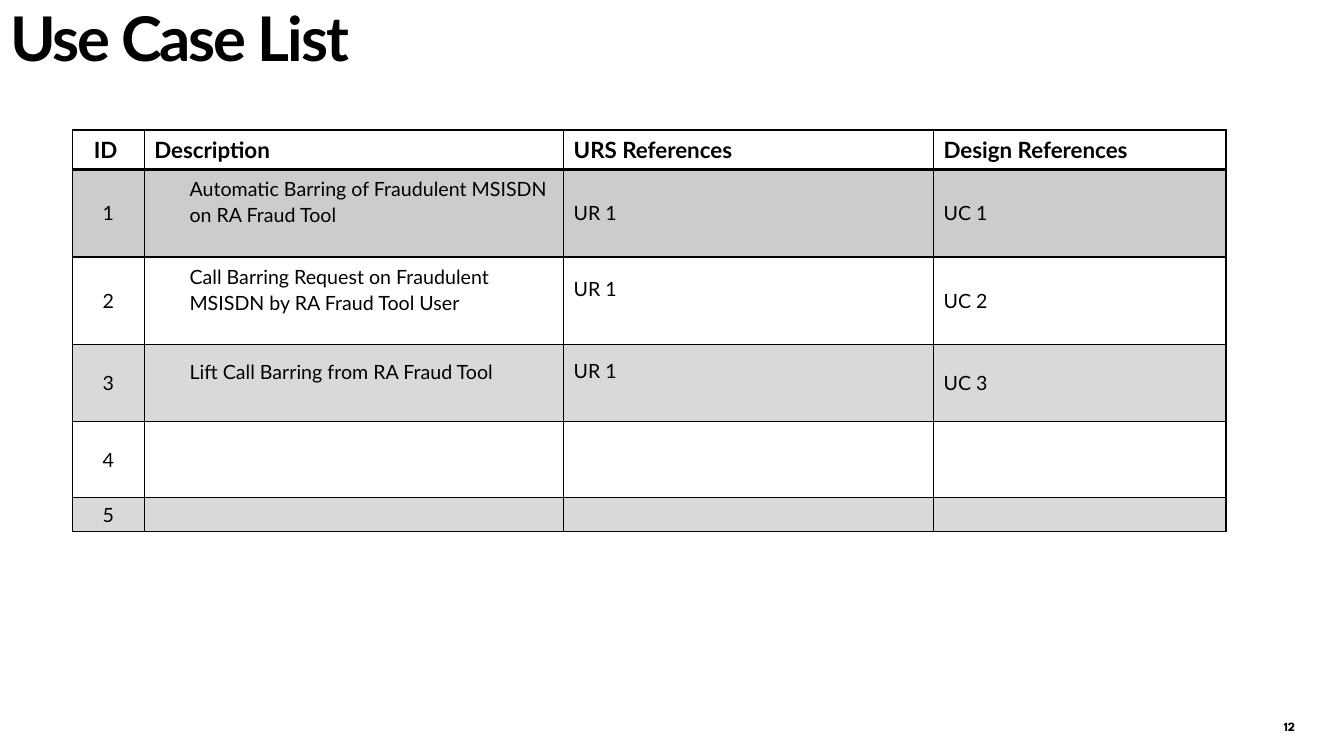
from dataclasses import dataclass

from lxml import etree
from pptx import Presentation
from pptx import util as u
from pptx.dml.color import RGBColor
from pptx.enum import shapes, text
from pptx.oxml import ns


@dataclass(frozen=True)
class Theme:
    ink: str = "000000"
    paper: str = "FFFFFF"
    band: str = "D9D9D9"
    body_font: str = "Lato"
    number_font: str = "League Spartan"
    title_size: int = 44
    header_size: int = 16
    body_size: int = 14
    number_size: int = 9


CENTER, LEFT = text.PP_ALIGN.CENTER, text.PP_ALIGN.LEFT
TOP, MIDDLE = text.MSO_ANCHOR.TOP, text.MSO_ANCHOR.MIDDLE


def write(frame, words, *, size, font, color, bold=False, align=LEFT,
          line_spacing=None, before=None, tracking=None):
    """Put one formatted paragraph into a text frame and return it."""
    paragraph = frame.paragraphs[0]
    paragraph.alignment = align
    if line_spacing:
        paragraph.line_spacing = line_spacing
    if before is not None:
        paragraph.space_before = u.Pt(before)
    if not words:
        # An empty cell still needs a type size to keep its row low
        end = etree.SubElement(paragraph._p, ns.qn("a:endParaRPr"))
        end.set("sz", str(size * 100))
        return paragraph
    run = paragraph.add_run()
    run.text = words
    run.font.name, run.font.size, run.font.bold = font, u.Pt(size), bold
    run.font.color.rgb = RGBColor.from_string(color)
    if tracking:
        run.font._element.set("spc", str(int(tracking * 100)))
    return paragraph


class SlideBuilder:
    def __init__(self, slide, theme):
        self.slide, self.theme = slide, theme

    def place(self, shape, left, top, width, height):
        shape.left, shape.top = u.Inches(left), u.Inches(top)
        shape.width, shape.height = u.Inches(width), u.Inches(height)

    def title(self, words, *box):
        heading = self.slide.shapes.title
        self.place(heading, *box)
        frame = heading.text_frame
        frame.vertical_anchor, frame.word_wrap = TOP, True
        frame.auto_size = text.MSO_AUTO_SIZE.NONE
        write(frame, words, size=self.theme.title_size, font=self.theme.body_font,
              color=self.theme.ink, bold=True, line_spacing=0.9, tracking=-1.5)

    def page_number(self, words, *box):
        badge = self.slide.shapes.add_shape(
            shapes.MSO_SHAPE.OVAL, *(u.Inches(length) for length in box))
        badge.shadow.inherit = False
        badge.fill.solid()
        badge.fill.fore_color.rgb = RGBColor.from_string(self.theme.paper)
        badge.line.fill.background()
        frame = badge.text_frame
        frame.margin_left = frame.margin_right = 0
        frame.margin_top = frame.margin_bottom = 0
        frame.vertical_anchor = MIDDLE
        write(frame, words, size=self.theme.number_size, font=self.theme.number_font,
              color=self.theme.ink, bold=True, align=CENTER)

    def border(self, cell, widths):
        properties = cell._tc.get_or_add_tcPr()
        for position, (side, width) in enumerate(zip("LRTB", widths)):
            line = etree.Element(ns.qn(f"a:ln{side}"), w=str(u.Pt(width)))
            solid = etree.SubElement(line, ns.qn("a:solidFill"))
            etree.SubElement(solid, ns.qn("a:srgbClr"), val=self.theme.ink)
            properties.insert(position, line)

    def fill(self, cell, color, opacity=None):
        if color is None:
            cell.fill.background()
            return
        cell.fill.solid()
        cell.fill.fore_color.rgb = RGBColor.from_string(color)
        if opacity:
            tint = cell._tc.tcPr.find(".//" + ns.qn("a:srgbClr"))
            etree.SubElement(tint, ns.qn("a:alpha"), val=str(opacity * 1000))

    def use_cases(self, rows, left, top, widths, heights, raised):
        """raised holds the (row, column) cells whose text sits above the middle."""
        table = self.slide.shapes.add_table(
            len(rows), len(widths), u.Inches(left), u.Inches(top),
            u.Inches(sum(widths)), u.Inches(sum(heights))).table
        table.first_row = table.horz_banding = False
        for column, width in zip(table.columns, widths):
            column.width = u.Inches(width)
        for row, height in zip(table.rows, heights):
            row.height = u.Inches(height)

        row_fills = {1: (self.theme.ink, 20), 3: (self.theme.band,), 5: (self.theme.band,)}
        for r, row in enumerate(rows):
            for c, words in enumerate(row):
                cell = table.cell(r, c)
                is_header = r == 0
                is_description = c == 1 and not is_header and bool(words)
                cell.vertical_anchor = MIDDLE
                if (r, c) in raised:
                    cell.margin_bottom = u.Inches(0.29)
                paragraph = write(
                    cell.text_frame, words, font=self.theme.body_font,
                    size=self.theme.header_size if is_header else self.theme.body_size,
                    color=self.theme.ink, bold=is_header,
                    align=CENTER if c == 0 else LEFT,
                    line_spacing=1.1 if is_description else None,
                    before=3 if is_description else None)
                if is_description:
                    paragraph.level = 1
                    indent = paragraph._p.get_or_add_pPr()
                    indent.set("marL", str(u.Inches(0.35)))
                    indent.set("indent", "0")
                self.fill(cell, *row_fills.get(r, (None,)))
                self.border(cell, (1, 1, 2 if r == 1 else 1, 2 if is_header else 1))


def main():
    deck = Presentation()
    deck.slide_width, deck.slide_height = u.Inches(13.33), u.Inches(7.5)
    title_only = deck.slide_layouts[5]
    builder = SlideBuilder(deck.slides.add_slide(title_only), Theme())

    # Page number and title
    builder.page_number("12", 12.45, 7.07, 0.68, 0.27)
    builder.title("Use Case List", 0, 0.03, 10.72, 0.89)

    # Use case table
    use_cases = [
        ("ID ", "Description", "URS References", "Design References"),
        ("1", "Automatic Barring of Fraudulent MSISDN on RA Fraud Tool", "UR 1", "UC 1"),
        ("2", "Call Barring Request on Fraudulent MSISDN by RA Fraud Tool User",
         "UR 1", "UC 2"),
        ("3", "Lift Call Barring from RA Fraud Tool", "UR 1", "UC 3"),
        ("4", "", "", ""),
        ("5", "", "", ""),
    ]
    builder.use_cases(
        use_cases, 0.72, 1.29,
        widths=(0.71, 4.16, 3.67, 2.9),
        heights=(0.39, 0.87, 0.87, 0.76, 0.76, 0.33),
        raised={(1, 1), (2, 1), (3, 1), (2, 2), (3, 2)})

    deck.save("out.pptx")


if __name__ == "__main__":
    main()
